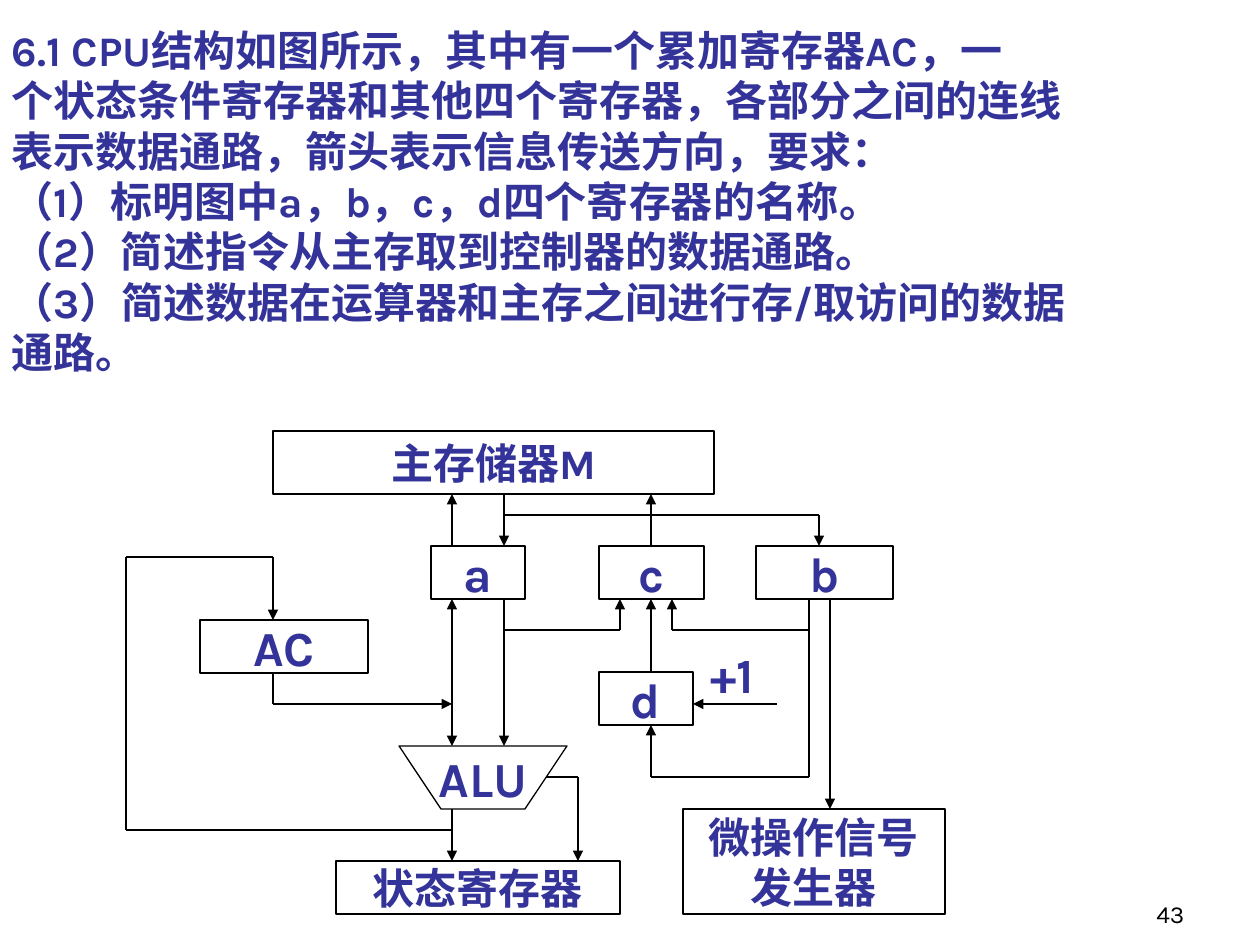
import itertools
import lxml.etree
import pptx
import pptx.dml.color
import pptx.enum.shapes
import pptx.enum.text
import pptx.oxml.ns
import pptx.util

SCALE = 914400 / 126
INK, BLUE = "000000", "333399"
ALIGN = pptx.enum.text.PP_ALIGN
ANCHOR = pptx.enum.text.MSO_ANCHOR

TASK = [
    "6.1 CPU结构如图所示，其中有一个累加寄存器AC，一",
    "个状态条件寄存器和其他四个寄存器，各部分之间的连线",
    "表示数据通路，箭头表示信息传送方向，要求：",
    "（1）标明图中a，b，c，d四个寄存器的名称。",
    "（2）简述指令从主存取到控制器的数据通路。",
    "（3）简述数据在运算器和主存之间进行存/取访问的数据",
    "通路。",
]
UNITS = [
    (["主存储器M"], 24, (273, 431, 441, 63)),
    (["a"], 28, (431, 546, 94, 53)),
    (["c"], 28, (599, 546, 105, 53)),
    (["b"], 28, (756, 546, 137, 53)),
    (["AC"], 28, (200, 620, 168, 53)),
    (["d"], 28, (599, 672, 94, 53)),
    (["状态寄存器"], 24, (336, 861, 284, 53)),
    (["微操作信号", "发生器"], 24, (683, 809, 262, 105)),
]
ALU = [(399, 746), (441, 809), (525, 809), (567, 746)]
ROUTES = [
    ([(452, 546), (452, 494)], ["tail"]),
    ([(504, 494), (504, 546)], ["tail"]),
    ([(504, 599), (504, 746)], ["tail"]),
    ([(651, 546), (651, 494)], ["tail"]),
    ([(504, 515), (819, 515), (819, 546)], ["tail"]),
    ([(452, 809), (452, 861)], ["tail"]),
    ([(546, 777), (578, 777), (578, 861)], ["tail"]),
    ([(452, 830), (126, 830), (126, 557), (273, 557), (273, 620)], ["tail"]),
    ([(273, 672), (273, 704), (452, 704)], ["tail"]),
    ([(504, 630), (620, 630), (620, 599)], ["tail"]),
    ([(651, 672), (651, 599)], ["tail"]),
    ([(809, 599), (809, 777), (651, 777), (651, 725)], ["tail"]),
    ([(777, 704), (693, 704)], ["tail"]),
    ([(809, 630), (672, 630), (672, 599)], ["tail"]),
    ([(830, 599), (830, 809)], ["tail"]),
    ([(452, 599), (452, 746)], ["head", "tail"]),
]


def px(*nums):
    return [pptx.util.Emu(round(n * SCALE)) for n in nums]


def hue(code):
    return pptx.dml.color.RGBColor.from_string(code)


def put(item, **vals):
    for key, val in vals.items():
        setattr(item, key, val)


def add(node, tag, **vals):
    return lxml.etree.SubElement(node, pptx.oxml.ns.qn(tag), **vals)


def write(shape, lines, size, align=ALIGN.CENTER, anchor=ANCHOR.MIDDLE, bold=True, tint=BLUE):
    frame = shape.text_frame
    put(frame, text="\n".join(lines), word_wrap=True, vertical_anchor=anchor,
        auto_size=pptx.enum.text.MSO_AUTO_SIZE.NONE)
    for para in frame.paragraphs:
        if shape.is_placeholder:
            props = para._p.get_or_add_pPr()
            for key in ("marL", "indent"):
                props.set(key, "0")
            add(props, "a:buNone")
        put(para, alignment=align, space_before=pptx.util.Pt(0))
        put(para.font, size=pptx.util.Pt(size), name="Karla", bold=bold)
        para.font.color.rgb = hue(tint)


def stroke(shape):
    shape.line.color.rgb = hue(INK)
    shape.line.width = pptx.util.Pt(0.75)


def dress(shape, lines, size):
    shape.shadow.inherit = False
    shape.fill.background()
    stroke(shape)
    write(shape, lines, size)


def route(shapes, points, heads):
    pairs = list(itertools.pairwise(points))
    for pair in pairs:
        wire = shapes.add_connector(pptx.enum.shapes.MSO_CONNECTOR.STRAIGHT, *px(*pair[0], *pair[1]))
        stroke(wire)
        if pair == pairs[-1]:
            for end in heads:
                add(wire.line._ln, f"a:{end}End", type="triangle")
        add(wire._element.spPr, "a:effectLst")


def main():
    deck = pptx.Presentation()
    deck.slide_width, deck.slide_height = px(1260, 945)
    slide = deck.slides.add_slide(deck.slide_layouts[1])
    shapes = slide.shapes
    title = shapes.title._element
    title.getparent().remove(title)

    body = slide.placeholders[1]
    put(body, **dict(zip(("left", "top", "width", "height"), px(-1, 18, 1114, 365))))
    write(body, TASK, 24, ALIGN.LEFT, ANCHOR.TOP)

    for lines, size, place in UNITS:
        unit = shapes.add_shape(pptx.enum.shapes.MSO_SHAPE.RECTANGLE, *px(*place))
        dress(unit, lines, size)

    form = shapes.build_freeform(*ALU[0], scale=SCALE)
    form.add_line_segments(ALU[1:], close=True)
    dress(form.convert_to_shape(), ["ALU"], 28)

    for points, heads in ROUTES:
        route(shapes, points, heads)

    step = shapes.add_textbox(*px(698, 638, 83, 72))
    write(step, ["+1"], 28, ALIGN.LEFT, ANCHOR.TOP)
    page = shapes.add_textbox(*px(935, 872, 262, 63))
    write(page, ["43"], 14, ALIGN.RIGHT, ANCHOR.BOTTOM, False, INK)

    deck.save("out.pptx")


if __name__ == "__main__":
    main()
